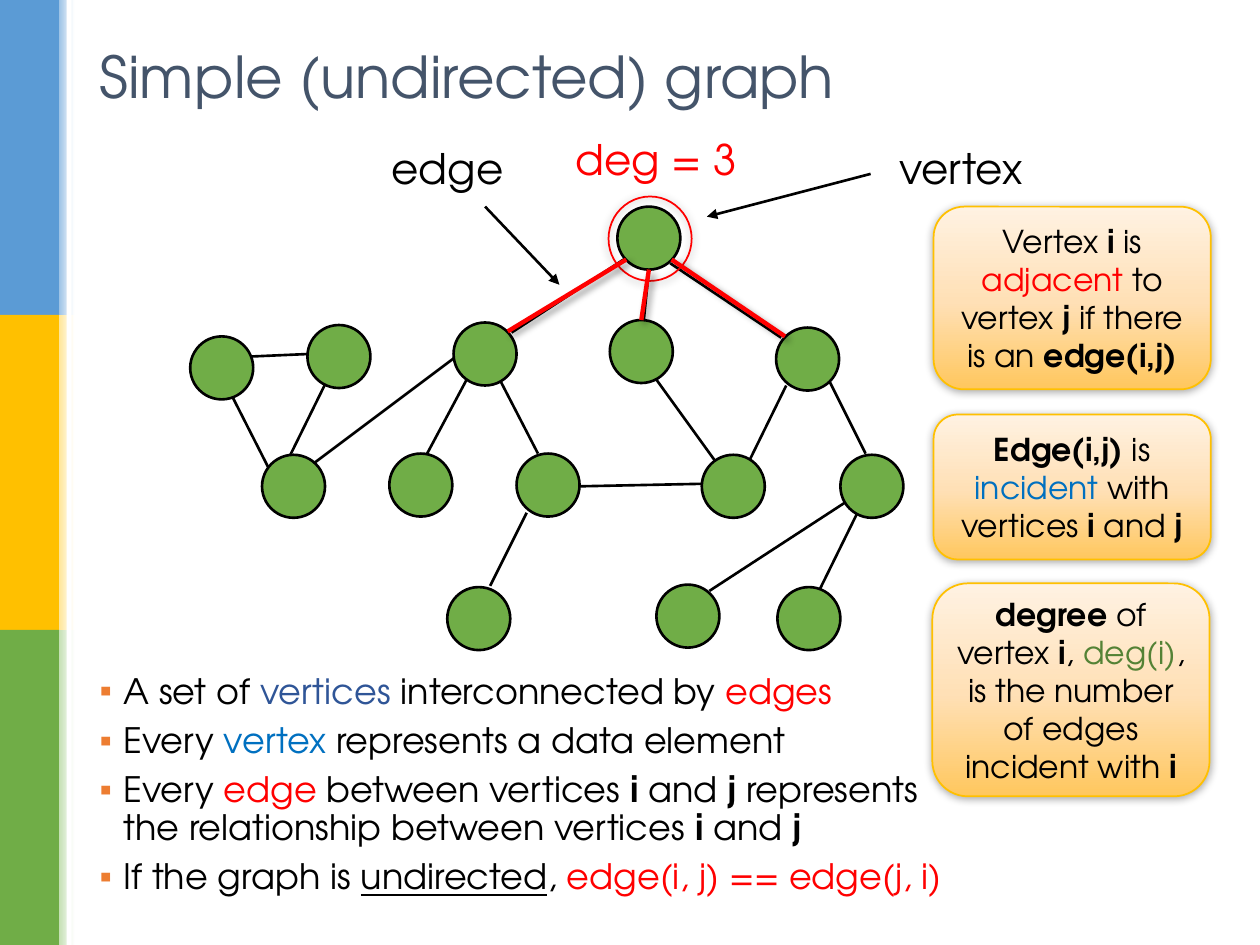
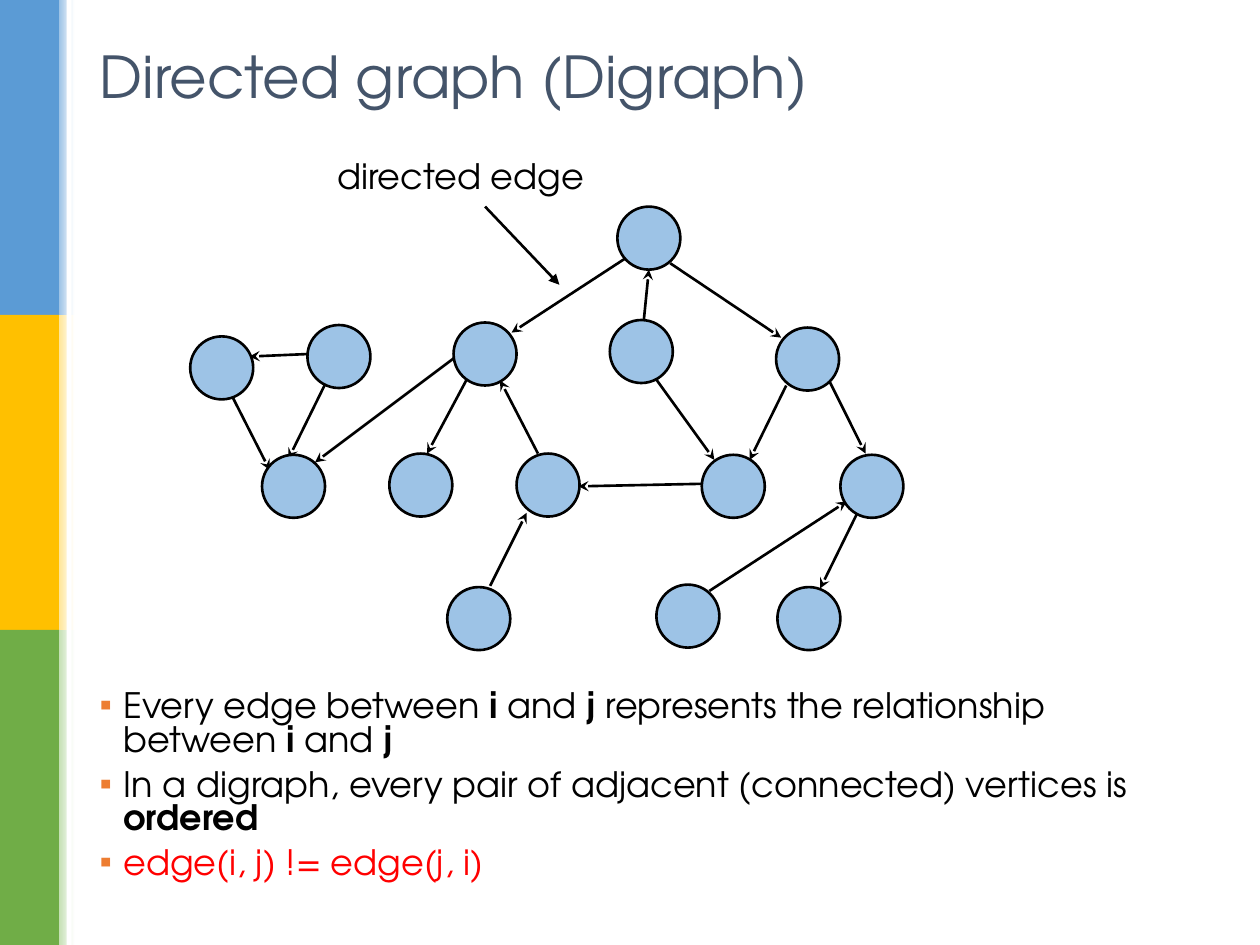
from typing import NamedTuple, Optional, Sequence, Union

from lxml.etree import SubElement
from pptx import Presentation
from pptx.dml.color import RGBColor
from pptx.enum.shapes import MSO_CONNECTOR, MSO_SHAPE
from pptx.enum.text import MSO_ANCHOR, MSO_AUTO_SIZE, PP_ALIGN
from pptx.oxml.ns import qn
from pptx.util import Emu, Pt

EMU_PER_PX = 9144  # 100 px to the inch
FONT = "TeX Gyre Adventor"
BLACK, WHITE, RED, BLUE = "000000", "FFFFFF", "FF0000", "0070C0"
NAVY, DARK_GREEN, SLATE, ORANGE = "2F5597", "548235", "44546A", "ED7D31"
GREEN, SKY, GOLD = "70AD47", "9DC3E6", "FFC000"
VERTEX_SIZE = 50
BAND_WIDTH, FADE_WIDTH, BAND_HEIGHT = 47, 12, 250


class Box(NamedTuple):
    left: int
    top: int
    width: int
    height: int


class Edge(NamedTuple):
    x1: int
    y1: int
    x2: int
    y2: int


class Vertex(NamedTuple):
    left: int
    top: int


class Span(NamedTuple):
    text: str
    color: Optional[str] = None
    bold: bool = False
    underline: bool = False


class Shadow(NamedTuple):
    alpha: int
    blur: int
    distance: int
    angle: int


class Label(NamedTuple):
    text: str
    box: Box
    size: int = 24
    color: str = BLACK


Line = Sequence[Union[str, Span]]


class Callout(NamedTuple):
    box: Box
    line: Line


class Band(NamedTuple):
    color: str
    fade: str


BANDS = [Band("5B9BD5", "9DC3E6"), Band(GOLD, "FFE699"), Band(GREEN, "C5E0B4")]
CALLOUT_STOPS = [(0, "FFC75E"), (48, "FFE0B6"), (100, "FFF2E2")]
SOFT_SHADOW = Shadow(32, 5, 1, 90)
EDGE_SHADOW = Shadow(40, 4, 3, 45)

VERTICES = [
    Vertex(490, 164),
    Vertex(151, 267), Vertex(244, 258), Vertex(360, 256), Vertex(484, 254), Vertex(616, 260),
    Vertex(208, 361), Vertex(309, 360), Vertex(410, 360), Vertex(557, 361), Vertex(667, 361),
    Vertex(355, 466), Vertex(521, 464), Vertex(617, 466),
]
EDGES = [
    Edge(498, 204, 406, 264), Edge(511, 254, 515, 214), Edge(532, 209, 620, 268),
    Edge(244, 281, 198, 283), Edge(184, 314, 214, 373), Edge(258, 305, 229, 364),
    Edge(362, 283, 250, 367), Edge(370, 302, 339, 360), Edge(427, 360, 397, 302),
    Edge(520, 300, 567, 365), Edge(624, 306, 595, 365), Edge(658, 302, 687, 360),
    Edge(557, 384, 459, 386), Edge(389, 465, 418, 407), Edge(563, 469, 672, 398),
    Edge(680, 408, 651, 467),
]
EDGE_POINTER = Edge(385, 164, 444, 226)
VERTEX_POINTER = Edge(691, 138, 561, 172)
HIGHLIGHTED_EDGES = [Edge(497, 206, 403, 263), Edge(515, 214, 509, 254), Edge(533, 206, 623, 267)]

I, J = Span("i", bold=True), Span("j", bold=True)

SIMPLE_LABELS = [
    Label("vertex", Box(704, 108, 130, 50)),
    Label("edge", Box(301, 108, 111, 50)),
    Label("deg = 3", Box(447, 101, 150, 51), color=RED),
]
SIMPLE_LINES: list[Line] = [
    ["A set of ", Span("vertices", NAVY), " interconnected by ", Span("edges", RED)],
    ["Every ", Span("vertex", BLUE), " represents a data element"],
    ["Every ", Span("edge", RED), " between vertices ", I, " and ", J, " represents ", "\n",
     "the relationship between vertices ", I, " and ", J],
    ["If the graph is ", Span("undirected", underline=True), ", ",
     Span("edge(i, j) == edge(j, i)", RED)],
]
CALLOUTS = [
    Callout(Box(741, 164, 220, 145),
            ["Vertex ", I, " is ", Span("adjacent", RED), " to vertex ", J,
             " if there is an ", Span("edge(i,j)", bold=True)]),
    Callout(Box(741, 329, 220, 115),
            [Span("Edge(i,j)", bold=True), " is ", Span("incident", BLUE),
             " with vertices ", I, " and ", J]),
    Callout(Box(740, 463, 220, 169),
            [Span("degree", bold=True), " of vertex ", I, ", ", Span("deg(i)", DARK_GREEN),
             ", is the number of edges incident with ", I]),
]
DIRECTED_LINES: list[Line] = [
    ["Every edge between ", I, " and ", J, " represents the relationship between ",
     I, " and ", J],
    ["In a digraph, every pair of adjacent (connected) vertices is ",
     Span("ordered", bold=True)],
    [Span("edge(i, j) != edge(j, i)", RED)],
]


def px(length: int) -> Emu:
    return Emu(length * EMU_PER_PX)


def rgb(color: str) -> RGBColor:
    return RGBColor.from_string(color)


def place(shape, box: Box) -> None:
    shape.left, shape.top, shape.width, shape.height = map(px, box)


def add_color(parent, color: str):
    return SubElement(parent, qn("a:srgbClr"), val=color)


def set_gradient(shape, stops: Sequence[tuple[int, str]], angle: int) -> None:
    shape.fill.gradient()
    gradient = shape.element.spPr.find(qn("a:gradFill"))
    for child in list(gradient):
        gradient.remove(child)
    stop_list = SubElement(gradient, qn("a:gsLst"))
    for position, color in stops:
        add_color(SubElement(stop_list, qn("a:gs"), pos=str(position * 1000)), color)
    SubElement(gradient, qn("a:lin"), ang=str(angle * 60000), scaled="0")


def set_shadow(item, shadow: Optional[Shadow]) -> None:
    """Give a finished shape or connector this shadow, or none at all."""
    effects = SubElement(item.element.spPr, qn("a:effectLst"))
    if shadow:
        outer = SubElement(effects, qn("a:outerShdw"), blurRad=str(Pt(shadow.blur)),
                           dist=str(Pt(shadow.distance)), dir=str(shadow.angle * 60000),
                           rotWithShape="0")
        SubElement(add_color(outer, BLACK), qn("a:alpha"), val=str(shadow.alpha * 1000))


def add_figure(page, kind: MSO_SHAPE, box: Box, fill: Union[str, Sequence, None],
               line: Optional[str] = None, weight: float = 1, angle: int = 0,
               shadow: Optional[Shadow] = None):
    """Draw a preset shape; fill is a colour, a list of gradient stops or None."""
    shape = page.shapes.add_shape(kind, *map(px, box))
    if fill is None:
        shape.fill.background()
    elif isinstance(fill, str):
        shape.fill.solid()
        shape.fill.fore_color.rgb = rgb(fill)
    else:
        set_gradient(shape, fill, angle)
    if line:
        shape.line.color.rgb = rgb(line)
        shape.line.width = Pt(weight)
    else:
        shape.line.fill.background()
    set_shadow(shape, shadow)
    return shape


def add_edge(page, edge: Edge, arrow: Optional[str] = None, color: str = BLACK,
             weight: float = 1.5, shadow: Optional[Shadow] = None) -> None:
    connector = page.shapes.add_connector(MSO_CONNECTOR.STRAIGHT, *map(px, edge))
    connector.line.color.rgb = rgb(color)
    connector.line.width = Pt(weight)
    if arrow:
        SubElement(connector.element.spPr.find(qn("a:ln")), qn("a:tailEnd"), type=arrow)
    set_shadow(connector, shadow)


def write(para, line: Line, size: int, color: str = BLACK) -> None:
    para.font.name = FONT
    para.font.size = Pt(size)
    para.font.color.rgb = rgb(color)
    for part in line:
        if part == "\n":
            para.add_line_break()
            continue
        span = Span(part) if isinstance(part, str) else part
        run = para.add_run()
        run.text = span.text
        if span.color:
            run.font.color.rgb = rgb(span.color)
        if span.bold:
            run.font.bold = True
        if span.underline:
            run.font.underline = True


def add_bullet(para) -> None:
    properties = para._p.get_or_add_pPr()
    properties.set("marL", str(px(19)))
    properties.set("indent", str(px(-19)))
    add_color(SubElement(properties, qn("a:buClr")), ORANGE)
    SubElement(properties, qn("a:buChar"), char="▪")


def add_page(deck, title: str, lines: Sequence[Line], body_box: Box, spacing: float):
    page = deck.slides.add_slide(deck.slide_layouts[1])
    heading, body = page.shapes.title, page.placeholders[1]
    place(heading, Box(69, 26, 862, 68))
    place(body, body_box)
    for holder, anchor in ((heading, MSO_ANCHOR.MIDDLE), (body, MSO_ANCHOR.TOP)):
        holder.text_frame.auto_size = MSO_AUTO_SIZE.NONE
        holder.text_frame.vertical_anchor = anchor
    para = heading.text_frame.paragraphs[0]
    para.alignment = PP_ALIGN.LEFT
    write(para, [title], 33, SLATE)
    for index, line in enumerate(lines):
        para = body.text_frame.add_paragraph() if index else body.text_frame.paragraphs[0]
        add_bullet(para)
        para.line_spacing = spacing
        para.space_before = Pt(6.5 if index else 0)
        write(para, line, 20)
    return page


def add_label(page, label: Label) -> None:
    frame = page.shapes.add_textbox(*map(px, label.box)).text_frame
    frame.word_wrap = True
    frame.auto_size = MSO_AUTO_SIZE.SHAPE_TO_FIT_TEXT
    write(frame.paragraphs[0], [label.text], label.size, label.color)


def add_callout(page, callout: Callout) -> None:
    shape = add_figure(page, MSO_SHAPE.ROUNDED_RECTANGLE, callout.box, CALLOUT_STOPS, GOLD,
                       angle=270, shadow=SOFT_SHADOW)
    shape.text_frame.word_wrap = True
    shape.text_frame.vertical_anchor = MSO_ANCHOR.MIDDLE
    para = shape.text_frame.paragraphs[0]
    para.alignment = PP_ALIGN.CENTER
    write(para, callout.line, 18)


def add_graph(page, vertex_color: str, arrow: Optional[str] = None) -> None:
    for edge in EDGES:
        add_edge(page, edge, arrow)
    for vertex in VERTICES:
        add_figure(page, MSO_SHAPE.OVAL, Box(*vertex, VERTEX_SIZE, VERTEX_SIZE),
                   vertex_color, BLACK, 1.5)
    add_edge(page, EDGE_POINTER, "triangle")


def move_bands_to_layout(page) -> None:
    """Draw the side bands and hand them to the layout that all pages share."""
    parts = []
    for row, band in enumerate(BANDS):
        top = row * BAND_HEIGHT
        parts.append(add_figure(page, MSO_SHAPE.RECTANGLE,
                                Box(0, top, BAND_WIDTH, BAND_HEIGHT), band.color))
        parts.append(add_figure(page, MSO_SHAPE.RECTANGLE,
                                Box(BAND_WIDTH, top, FADE_WIDTH, BAND_HEIGHT),
                                [(0, band.fade), (100, WHITE)]))
    parts.append(add_figure(page, MSO_SHAPE.RECTANGLE, Box(53, 0, 4, 750), WHITE))
    for part in parts:
        page.slide_layout.shapes.element.append(part.element)


def main() -> None:
    deck = Presentation()
    deck.slide_width, deck.slide_height = px(1000), px(750)

    simple = add_page(deck, "Simple (undirected) graph", SIMPLE_LINES,
                      Box(69, 530, 892, 222), 0.9)
    move_bands_to_layout(simple)
    add_graph(simple, GREEN)
    add_edge(simple, VERTEX_POINTER, "triangle")
    for callout in CALLOUTS:
        add_callout(simple, callout)
    add_figure(simple, MSO_SHAPE.OVAL, Box(483, 156, 66, 67), None, RED, shadow=SOFT_SHADOW)
    for edge in HIGHLIGHTED_EDGES:
        add_edge(simple, edge, color=RED, weight=2.5, shadow=EDGE_SHADOW)
    for label in SIMPLE_LABELS:
        add_label(simple, label)

    directed = add_page(deck, "Directed graph (Digraph)", DIRECTED_LINES,
                        Box(69, 544, 892, 174), 0.8)
    add_graph(directed, SKY, "stealth")
    add_label(directed, Label("directed edge", Box(258, 118, 221, 44), 20))

    deck.save("out.pptx")


if __name__ == "__main__":
    main()
